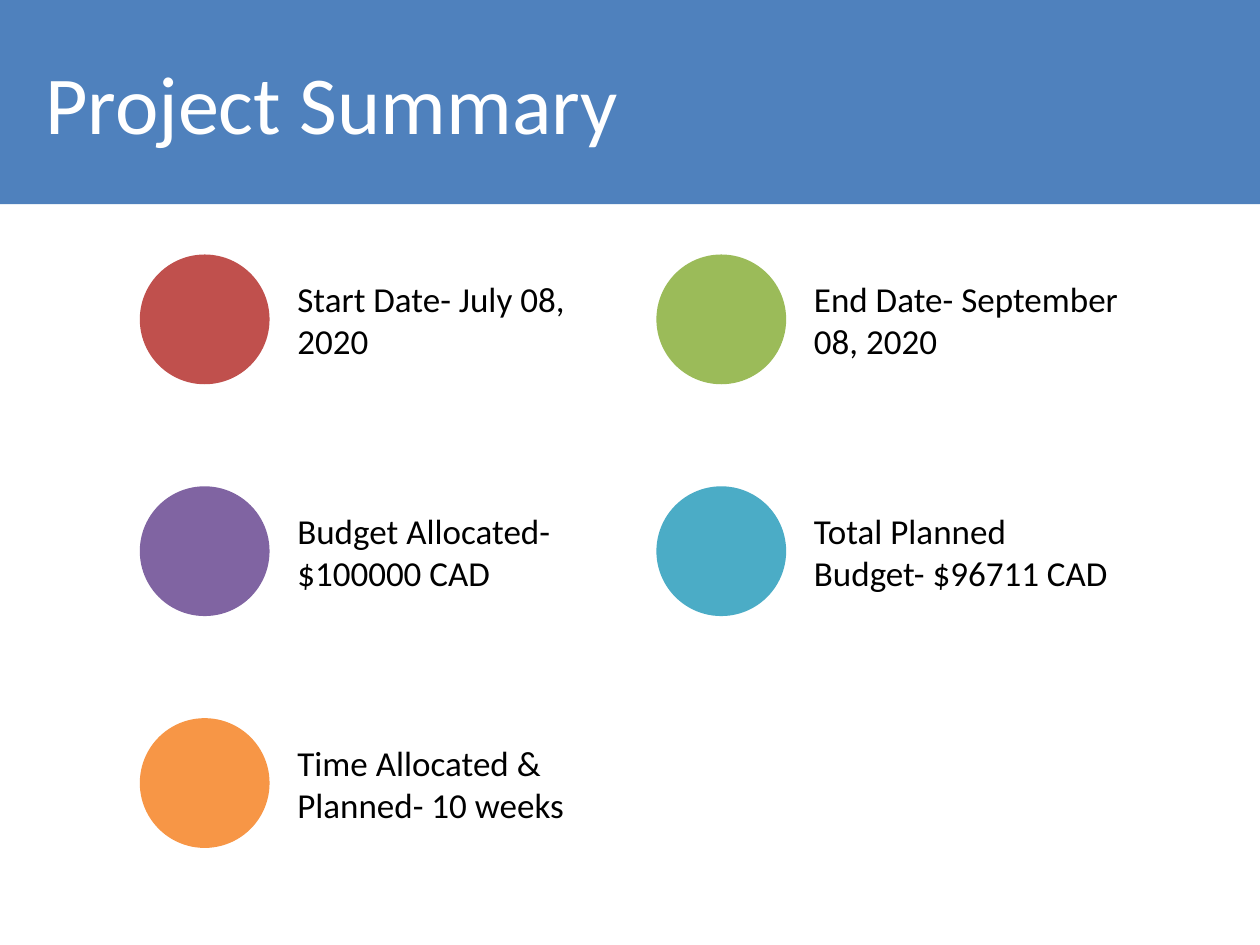
from dataclasses import dataclass

from pptx import Presentation
from pptx import util as u
from pptx.dml.color import RGBColor
from pptx.enum import shapes, text


@dataclass(frozen=True)
class Theme:
    font: str = "Calibri"
    title_size: int = 47
    body_size: int = 20
    band: str = "4F81BD"
    title: str = "FFFFFF"
    body: str = "000000"


@dataclass(frozen=True)
class Fact:
    label: str
    color: str


THEME = Theme()
FACTS = [
    Fact("Start Date- July 08, 2020", "C0504D"),
    Fact("End Date- September 08, 2020", "9BBB59"),
    Fact("Budget Allocated- $100000 CAD", "8064A2"),
    Fact("Total Planned Budget- $96711 CAD", "4BACC6"),
    Fact("Time Allocated & Planned- 10 weeks", "F79646"),
]

# Fact grid, in inches
COLUMNS = 2
GRID_LEFT, GRID_TOP = 1.11, 2.02
COLUMN_STEP, ROW_STEP = 4.1, 1.84
CIRCLE_SIZE = 1.03
LABEL_OFFSET, LABEL_WIDTH = 1.25, 2.42


def add_filled_shape(slide, kind, left: float, top: float,
                     width: float, height: float, color: str):
    shape = slide.shapes.add_shape(
        kind, u.Inches(left), u.Inches(top), u.Inches(width), u.Inches(height))
    shape.shadow.inherit = False
    shape.fill.solid()
    shape.fill.fore_color.rgb = RGBColor.from_string(color)
    shape.line.fill.background()
    return shape


def write_text(shape, content: str, size: int, color: str,
               left_inset: float = 0) -> None:
    frame = shape.text_frame
    frame_format = {
        "word_wrap": True,
        "vertical_anchor": text.MSO_ANCHOR.MIDDLE,
        "margin_left": u.Inches(left_inset),
        "margin_right": 0,
        "margin_top": 0,
        "margin_bottom": 0,
    }
    for name, value in frame_format.items():
        setattr(frame, name, value)
    paragraph = frame.paragraphs[0]
    paragraph.text = content
    paragraph.alignment = text.PP_ALIGN.LEFT
    for name, value in {"name": THEME.font, "size": u.Pt(size)}.items():
        setattr(paragraph.font, name, value)
    paragraph.font.color.rgb = RGBColor.from_string(color)


def add_fact(slide, fact: Fact, left: float, top: float) -> None:
    add_filled_shape(slide, shapes.MSO_SHAPE.OVAL, left, top,
                     CIRCLE_SIZE, CIRCLE_SIZE, fact.color)
    label = slide.shapes.add_textbox(
        u.Inches(left + LABEL_OFFSET), u.Inches(top),
        u.Inches(LABEL_WIDTH), u.Inches(CIRCLE_SIZE))
    write_text(label, fact.label, THEME.body_size, THEME.body)
    label.text_frame.paragraphs[0].space_after = u.Pt(7)


def main() -> None:
    presentation = Presentation()
    presentation.slide_width = u.Inches(10)
    presentation.slide_height = u.Inches(7.5)
    slide = presentation.slides.add_slide(presentation.slide_layouts[6])

    # Title band
    band = add_filled_shape(slide, shapes.MSO_SHAPE.RECTANGLE,
                            0, 0, 10, 1.62, THEME.band)
    write_text(band, "Project Summary", THEME.title_size, THEME.title,
               left_inset=0.36)

    # Facts, filled row by row
    for index, fact in enumerate(FACTS):
        row, column = divmod(index, COLUMNS)
        add_fact(slide, fact, GRID_LEFT + column * COLUMN_STEP,
                 GRID_TOP + row * ROW_STEP)

    presentation.save("out.pptx")


if __name__ == "__main__":
    main()
